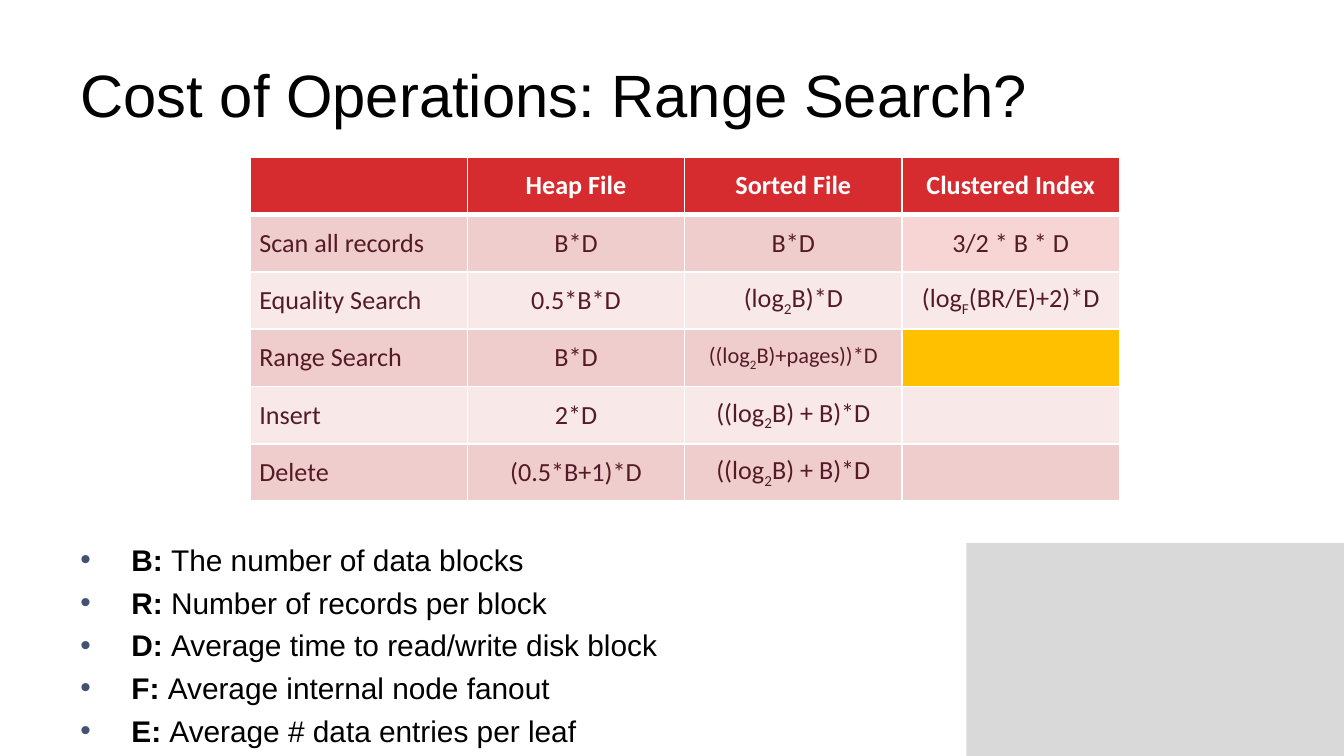
from lxml import etree
from pptx import Presentation
from pptx import util as u
from pptx.dml.color import RGBColor
from pptx.enum import shapes, text
from pptx.oxml.ns import qn

COLORS = {
    "black": "000000", "white": "FFFFFF", "panel": "D9D9D9", "bullet": "44516F",
    "header": "D72C2F", "ink": "541B27", "dark": "F0CDCD", "light": "F8E8E8",
    "scan": "F7D5D5", "equality": "F8E9E8", "asked": "FFC000",
}


def add_run(p, words, size, font, color, bold=False):
    r = p.add_run()
    r.text = words
    r.font.size = u.Pt(size)
    r.font.name = font
    r.font.bold = bold
    r.font.color.rgb = RGBColor.from_string(COLORS[color])
    return r


def add_borders(cell, bottom):
    tcPr = cell._tc.get_or_add_tcPr()
    for i, (side, width) in enumerate([("L", 1), ("R", 1), ("T", 1), ("B", bottom)]):
        ln = etree.Element(qn("a:ln" + side), w=str(u.Pt(width)))
        fill = etree.SubElement(ln, qn("a:solidFill"))
        etree.SubElement(fill, qn("a:srgbClr"), val=COLORS["white"])
        tcPr.insert(i, ln)


prs = Presentation()
prs.slide_width = W = u.Inches(10)
prs.slide_height = H = W * 9 // 16
s = prs.slides.add_slide(prs.slide_layouts[5])

panel_left, panel_top = int(W * 0.719), int(H * 0.718)
sp = s.shapes.add_shape(shapes.MSO_SHAPE.RECTANGLE, panel_left, panel_top,
                        W - panel_left, H - panel_top)
sp.shadow.inherit = False
sp.fill.solid()
sp.fill.fore_color.rgb = RGBColor.from_string(COLORS["panel"])
sp.line.fill.background()

margin = W // 20
title = s.shapes.title
title.left, title.top = margin, u.Inches(0.23)
title.width, title.height = W - 2 * margin, u.Inches(0.94)
tf = title.text_frame
tf.vertical_anchor = text.MSO_ANCHOR.MIDDLE
p = tf.paragraphs[0]
p.alignment = text.PP_ALIGN.LEFT
add_run(p, "Cost of Operations: Range Search?", 32, "Arial", "black")

costs = [
    ["", "Heap File", "Sorted File", "Clustered Index"],
    ["Scan all records", "B*D", "B*D", "3/2 * B * D"],
    ["Equality Search", "0.5*B*D", "(log|2|B)*D", "(log|F|(BR/E)+2)*D"],
    ["Range Search", "B*D", "((log|2|B)+pages))*D", ""],
    ["Insert", "2*D", "((log|2|B) + B)*D", ""],
    ["Delete", "(0.5*B+1)*D", "((log|2|B) + B)*D", ""],
]
special_fills = {(1, 3): "scan", (2, 3): "equality", (3, 3): "asked"}
small_cells = {(3, 2)}

table = s.shapes.add_table(len(costs), len(costs[0]), u.Inches(1.86), u.Inches(1.17),
                           u.Inches(6.47), u.Inches(2.56)).table
for row, entries in enumerate(costs):
    band = "header" if row == 0 else "dark" if row % 2 else "light"
    for col, entry in enumerate(entries):
        cell = table.cell(row, col)
        cell.fill.solid()
        fill = COLORS[special_fills.get((row, col), band)]
        cell.fill.fore_color.rgb = RGBColor.from_string(fill)
        add_borders(cell, 3 if row == 0 else 1)
        cell.vertical_anchor = text.MSO_ANCHOR.MIDDLE
        cell.margin_left = cell.margin_right = u.Inches(0.07)
        cell.margin_top = cell.margin_bottom = u.Inches(0.04)
        if not entry:
            continue
        p = cell.text_frame.paragraphs[0]
        p.alignment = text.PP_ALIGN.CENTER if col or row == 0 else text.PP_ALIGN.LEFT
        size = 12 if (row, col) in small_cells else 14
        for i, words in enumerate(entry.split("|")):
            r = add_run(p, words, size, "Calibri", "ink" if row else "white", row == 0)
            if i % 2:
                r.font._element.set("baseline", "-25000")

legend = [
    ("B: ", "The number of data blocks"),
    ("R: ", "Number of records per block"),
    ("D: ", "Average time to read/write disk block"),
    ("F: ", "Average internal node fanout"),
    ("E: ", "Average # data entries per leaf"),
]
legend_top = u.Inches(3.98)
tf = s.shapes.add_textbox(margin, legend_top, W - 2 * margin, H - legend_top).text_frame
tf.word_wrap = True
indent = u.Inches(0.38)
for i, (symbol, meaning) in enumerate(legend):
    p = tf.add_paragraph() if i else tf.paragraphs[0]
    p.space_before = u.Pt(3.7)
    pPr = p._p.get_or_add_pPr()
    pPr.set("marL", str(indent))
    pPr.set("indent", str(-indent))
    color = etree.SubElement(pPr, qn("a:buClr"))
    etree.SubElement(color, qn("a:srgbClr"), val=COLORS["bullet"])
    etree.SubElement(pPr, qn("a:buFont"), typeface="Arial")
    etree.SubElement(pPr, qn("a:buChar"), char="•")
    add_run(p, symbol, 16, "Arial", "black", True)
    add_run(p, meaning, 16, "Arial", "black")

prs.save("out.pptx")
